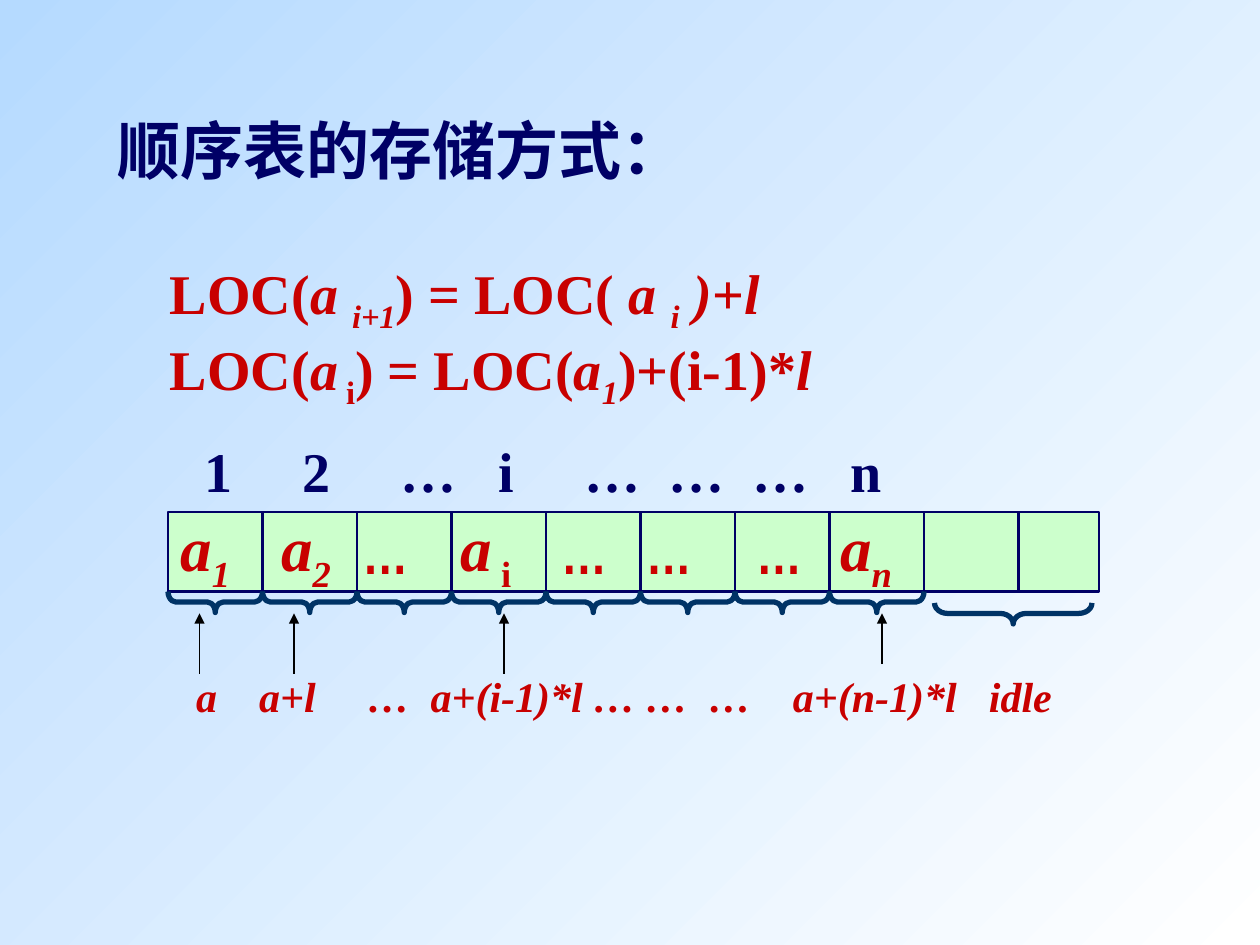
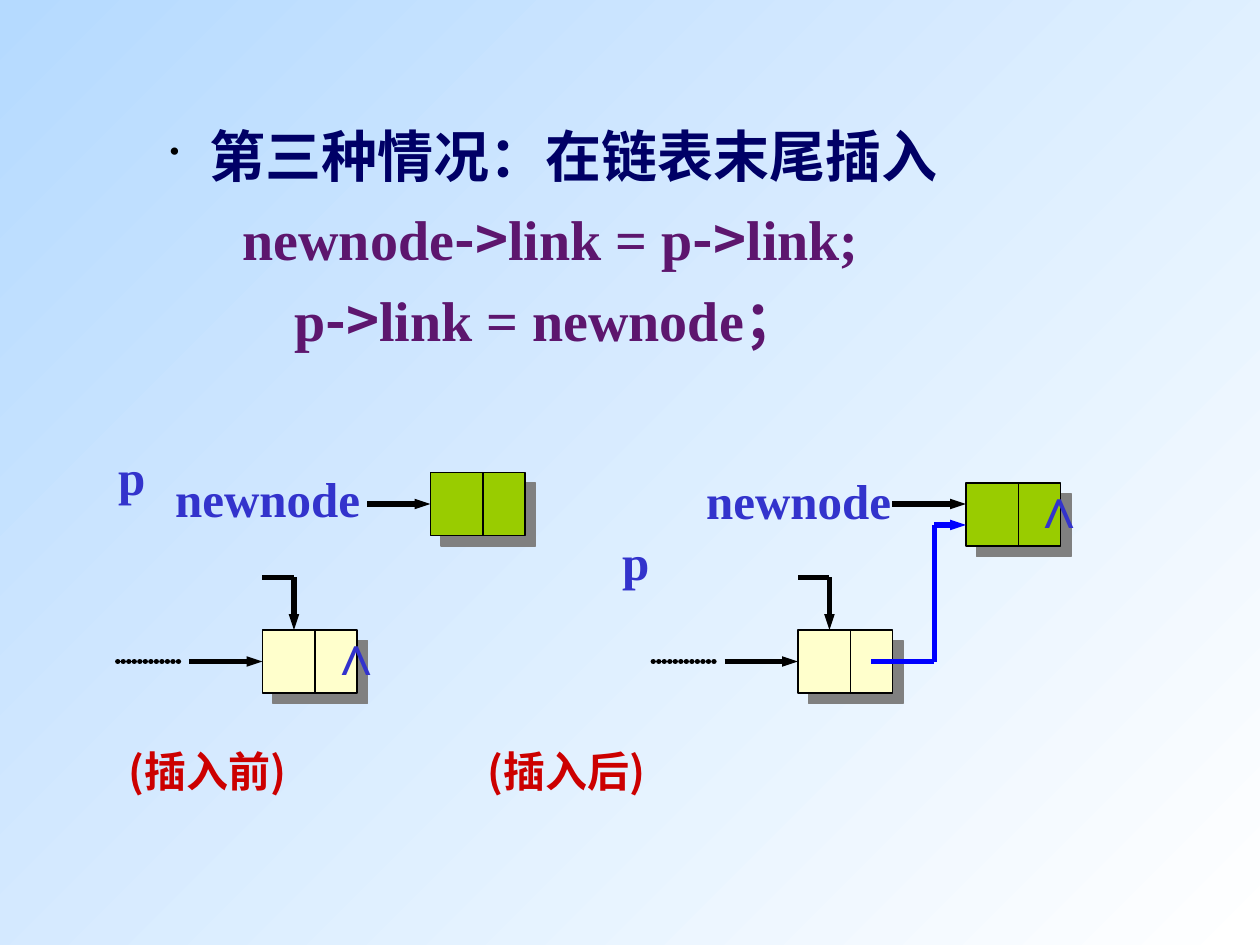
from lxml.etree import SubElement as Sub
from pptx import Presentation
from pptx.dml.color import RGBColor as Rgb
from pptx.enum.shapes import MSO_CONNECTOR as Link, MSO_SHAPE as Kind
from pptx.enum.text import MSO_ANCHOR as Anchor
from pptx.oxml.ns import qn
from pptx.util import Pt

COLORS = dict(sky="B5DAFF", white="FFFFFF", navy="000066", red="C80000", warm="CC0000",
              mint="CCFFCC", teal="003366", plum="5D166E", blue="3333CC", cream="FFFFCC",
              green="99CC00", gray="808080", black="000000", bright="0000FF")
SERIF, SANS = "Times New Roman", "Noto Sans CJK SC"

TITLE = dict(size=36, name=SERIF, color="navy", bold=True)
MATH = dict(TITLE, size=32, color="red")
CELL = dict(TITLE, color="red")
INDEX = dict(TITLE, size=32)
ADDRESS = dict(TITLE, size=24, color="red", italic=True)
CODE = dict(TITLE, size=32, color="plum")
LABEL = dict(TITLE, size=28, color="blue")
NULL = dict(TITLE, size=32, name="Arial", color="blue")
STAGE = dict(TITLE, size=24, name=SANS, color="warm")
MODES = dict(
    r={}, i=dict(italic=True), sub=dict(base=-25), isub=dict(italic=True, base=-25),
    dots=dict(size=32, name="Arial Narrow", color="warm"), op=dict(name=SANS),
)

FORMULAS = [
    [("LOC(", "r"), ("a ", "i"), ("i+1", "isub"), (") = LOC(", "r"), (" a ", "i"),
     ("i", "isub"), (" )", "i"), ("+", "r"), ("l", "i")],
    [("LOC(", "r"), ("a", "i"), (" i", "sub"), (") = LOC(", "r"), ("a", "i"),
     ("1", "isub"), (")+(i-1)*", "r"), ("l", "i")],
]
DOTS = [("…", "dots")]
ITEMS = [
    (0, [("a", "i"), ("1", "isub")]), (57.5, [("a", "i"), ("2", "isub")]), (104, DOTS),
    (160, [("a", "i"), (" i", "sub")]), (217.5, DOTS), (266, DOTS), (329, DOTS),
    (377, [("a", "i"), ("n", "isub")]),
]
NUMBERS = [(8, "1"), (64, "2"), (120, "…"), (176, "i"), (225, "…"), (273, "…"),
           (321, "…"), (377, "n")]
PLACES = [(27, "a"), (63, "a+l"), (125, "…"), (161, "a+(i-1)*l"), (254, "…"), (284, "…"),
          (320, "…"), (368, "a+(n-1)*l"), (480, "idle")]
POINTERS = [(114, 385), (168, 385), (288, 385), (504, 379.5)]

STEPS = [
    ([("第三种情况：在链表末尾插入", "r")],
     dict(left=58.5, hang=-22.5, before=8, bullet="•"), INDEX),
    ([("newnode", "r"), ("->", "op"), ("link = p", "r"), ("->", "op"), ("link;", "r")],
     dict(left=77.5, before=9), CODE),
    ([("p", "r"), ("->", "op"), ("link = newnode；", "r")], dict(left=107, before=8), CODE),
]
STAGES = [(10.5, "(插入前)"), (215.5, "(插入后)")]
SHIFT = 306
BEFORE = dict(shift=0, top=270, start=210, name=(93, 264), mark=(60.5, 251.5),
              null=(180.5, 350.5))
AFTER = dict(shift=SHIFT, top=276, start=204, name=(396.5, 265.5), mark=(348.5, 300),
             null=(582.5, 266.5))


def rgb(name):
    return Rgb.from_string(COLORS[name])


def add_run(para, text, style):
    run = para.add_run()
    run.text = text
    for key, value in style.items():
        if key == "size":
            run.font.size = Pt(value)
        elif key == "color":
            run.font.color.rgb = rgb(value)
        elif key == "base":
            run.font._element.set("baseline", str(value * 1000))
        else:
            setattr(run.font, key, value)
    face = "Arial" if style["name"] == "Arial" else SANS
    Sub(run.font._element, qn("a:ea"), typeface=face)


def add_para(para, runs, style, left=0, hang=0, before=0, bullet=None):
    props = para._p.get_or_add_pPr()
    props.set("marL", str(Pt(left)))
    props.set("indent", str(Pt(hang)))
    para.space_before = Pt(before)
    if bullet:
        Sub(Sub(props, qn("a:buClr")), qn("a:srgbClr"), val=COLORS["black"])
        Sub(props, qn("a:buSzPct"), val="50000")
        Sub(props, qn("a:buChar"), char=bullet)
    else:
        Sub(props, qn("a:buNone"))
    for text, mode in runs:
        add_run(para, text, {**style, **MODES[mode]})


def add_box(slide, area, text=None, style=None):
    frame = slide.shapes.add_textbox(*map(Pt, area)).text_frame
    frame.word_wrap = True
    if text:
        add_para(frame.paragraphs[0], [(text, "r")], style)
    return frame


def add_row(slide, left, top, height, items, style, anchor=Anchor.TOP, width=120):
    for place, parts in items:
        frame = add_box(slide, (left + place, top, width, height))
        frame.vertical_anchor = anchor
        runs = [(parts, "r")] if isinstance(parts, str) else parts
        add_para(frame.paragraphs[0], runs, style)


def add_rect(slide, area, fill, line, width, shade=False):
    rect = slide.shapes.add_shape(Kind.RECTANGLE, *map(Pt, area))
    rect.shadow.inherit = False
    rect.fill.solid()
    rect.fill.fore_color.rgb = rgb(fill)
    rect.line.color.rgb = rgb(line)
    rect.line.width = Pt(width)
    if shade:
        effects = rect._element.spPr.find(qn("a:effectLst"))
        shadow = Sub(effects, qn("a:outerShdw"), dist=str(Pt(8.5)), dir="2700000",
                     algn="ctr", rotWithShape="0")
        Sub(shadow, qn("a:srgbClr"), val=COLORS["gray"])
    return rect


def add_line(slide, ends, color="black", width=3, head=None, dots=False, goal=None):
    line = slide.shapes.add_connector(Link.STRAIGHT, *map(Pt, ends))
    if goal:
        line.end_connect(*goal)
    line.line.color.rgb = rgb(color)
    line.line.width = Pt(width)
    stroke = line.line._get_or_add_ln()
    if dots:
        stroke.set("cap", "rnd")
        Sub(Sub(stroke, qn("a:custDash")), qn("a:ds"), d="100000", sp="5000")
    if head:
        Sub(stroke, qn("a:tailEnd"), type="triangle", w=head, len="med")
    Sub(line._element.spPr, qn("a:effectLst"))


def add_brace(slide, left, top, width, height=12):
    brace = slide.shapes.add_shape(
        Kind.LEFT_BRACE, Pt(left + (width - height) / 2), Pt(top - (width - height) / 2),
        Pt(height), Pt(width))
    brace.rotation = 270
    brace.adjustments[0] = width / 12 / height
    brace.shadow.inherit = False
    brace.fill.background()
    brace.line.color.rgb = rgb("teal")
    brace.line.width = Pt(3)


def draw_array(slide):
    left, top, step, base = 96, 292.5, 54, 338
    title = add_box(slide, (60, 60, 612, 426))
    add_para(title.paragraphs[0], [("顺序表的存储方式：", "r")], TITLE, before=9)
    rules = add_box(slide, (90, 144, 570, 95))
    for num, runs in enumerate(FORMULAS):
        add_para(rules.add_paragraph() if num else rules.paragraphs[0], runs, MATH)
    add_rect(slide, (left, top, 532, base - top), "mint", "navy", 1.5)
    add_row(slide, left, top, base - top, ITEMS, CELL, Anchor.MIDDLE)
    for num in range(1, 10):
        edge = left + num * step
        add_line(slide, (edge, top, edge, base), "navy", 1.5)
    add_row(slide, 102, 246, 46, NUMBERS, INDEX)
    for num in range(8):
        add_brace(slide, left + num * step, base, step)
    add_brace(slide, 534, 344.5, 90)
    add_row(slide, 78, 379.5, 40, PLACES, ADDRESS)
    for mid, foot in POINTERS:
        add_line(slide, (mid, foot, mid, 350.5), width=0.75, head="med")


def add_node(slide, left, top, fill):
    node = add_rect(slide, (left, top, 54, 36), fill, "black", 0.75, True)
    add_line(slide, (left + 30, top, left + 30, top + 36), width=0.75)
    return node


def draw_chain(slide, shift, top, start, name, mark, null):
    last = add_node(slide, 150 + shift, 360, "cream")
    fresh = add_node(slide, 246 + shift, top, "green")
    goal = (fresh, 1) if top + 18 == 288 else None
    add_line(slide, (start + shift, 288, 246 + shift, 288), head="sm", goal=goal)
    add_line(slide, (108 + shift, 378, 150 + shift, 378), head="sm", goal=(last, 1))
    add_line(slide, (102 + shift, 378, 66 + shift, 378), dots=True)
    add_line(slide, (168 + shift, 330, 168 + shift, 360), head="sm")
    add_line(slide, (168 + shift, 330, 150 + shift, 330))
    add_box(slide, (*name, 125, 41), "newnode", LABEL)
    add_box(slide, (*mark, 30, 41), "p", LABEL)
    add_box(slide, (*null, 50, 46), "∧", NULL)


def draw_insert(slide):
    frame = add_box(slide, (54, 66, 612, 414))
    for num, (runs, form, style) in enumerate(STEPS):
        para = frame.add_paragraph() if num else frame.paragraphs[0]
        add_para(para, runs, style, **form)
    add_row(slide, 56, 422.5, 36, STAGES, STAGE, width=150)
    for chain in (BEFORE, AFTER):
        draw_chain(slide, **chain)
    add_line(slide, (534, 300, 552, 300), "bright", head="sm")
    add_line(slide, (534, 300, 534, 378), "bright")
    add_line(slide, (498, 378, 534, 378), "bright")


def main():
    deck = Presentation()
    deck.slide_width, deck.slide_height = Pt(720), Pt(540)
    back = deck.slide_master.background.fill
    back.gradient()
    back.gradient_angle = 315
    for stop, color in zip(back.gradient_stops, ("sky", "white")):
        stop.color.rgb = rgb(color)
    for draw in (draw_array, draw_insert):
        draw(deck.slides.add_slide(deck.slide_layouts[6]))
    deck.save("out.pptx")


if __name__ == "__main__":
    main()
